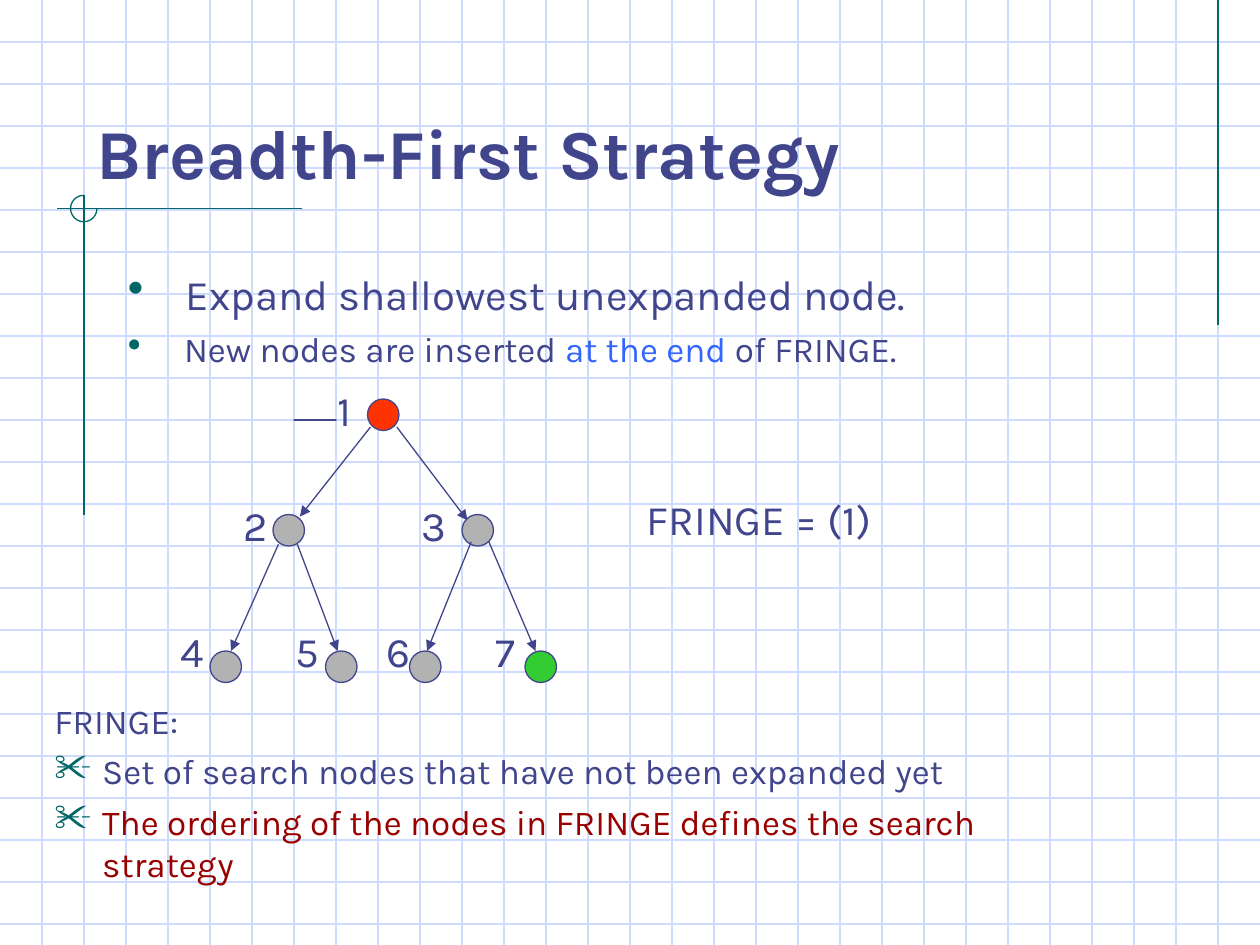
import lxml.etree
import pptx
import pptx.util
import pptx.dml.color
import pptx.enum.shapes
import pptx.enum.text
import pptx.oxml.ns

CELL = pptx.util.Inches(1) / 3  # the slide is 30 columns by 22.5 rows
COLS, ROWS = 30, 22.5
INK, TEAL, GRID, BLUE = "40458C", "006666", "CFDBFD", "3366FF"
GREY, RED, GREEN, MAROON = "B2B2B2", "FF3300", "33CC33", "990000"
rgb = pptx.dml.color.RGBColor.from_string
qn = pptx.oxml.ns.qn
shape_type = pptx.enum.shapes.MSO_SHAPE
auto_size = pptx.enum.text.MSO_AUTO_SIZE

prs = pptx.Presentation()
prs.slide_width, prs.slide_height = int(COLS * CELL), int(ROWS * CELL)
s = prs.slides.add_slide(prs.slide_layouts[5])


def write(tf, *runs, size=24, color=INK, bold=False, before=0, hang=0, bullet=None):
    """Add a paragraph; each run is a text or a (text, colour) pair."""
    p = tf.paragraphs[0] if not tf.paragraphs[0].runs else tf.add_paragraph()
    p.alignment = pptx.enum.text.PP_ALIGN.LEFT
    p.space_before = pptx.util.Pt(before)
    pPr = p._p.get_or_add_pPr()
    if hang:
        indent = int(pptx.util.Inches(hang))
        pPr.set("marL", str(indent))
        pPr.set("indent", str(-indent))
    if bullet:
        clr = lxml.etree.SubElement(pPr, qn("a:buClr"))
        lxml.etree.SubElement(clr, qn("a:srgbClr"), val=TEAL)
        lxml.etree.SubElement(pPr, qn("a:buSzPct"), val="110000")
        lxml.etree.SubElement(pPr, qn("a:buChar"), char=bullet)
    for run in runs:
        text, run_color = (run, color) if isinstance(run, str) else run
        r = p.add_run()
        r.text = text
        r.font.name, r.font.size, r.font.bold = "Karla", pptx.util.Pt(size), bold
        r.font.color.rgb = rgb(run_color)


def line(x1, y1, x2, y2, color=INK, arrow=False):
    """Draw a thin line between two points of the grid."""
    c = s.shapes.add_connector(pptx.enum.shapes.MSO_CONNECTOR.STRAIGHT,
                               *(int(v * CELL) for v in (x1, y1, x2, y2)))
    c.line.width = pptx.util.Pt(0.75)
    c.line.color.rgb = rgb(color)
    if arrow:
        lxml.etree.SubElement(c.line._get_or_add_ln(), qn("a:tailEnd"), type="triangle")
    lxml.etree.SubElement(c._element.spPr, qn("a:effectLst"))


# Graph paper
for row in range(1, 23):
    line(0, row, COLS, row, GRID)
for col in range(1, COLS):
    line(col, 0, col, ROWS, GRID)

# Teal rules and the three-quarter ring at their crossing
line(29, 0, 29, 7.75, TEAL)
line(7.2, 4.97, 1.35, 4.97, TEAL)
line(2, 4.65, 2, 12.27, TEAL)
arc = s.shapes.add_shape(shape_type.ARC, *(int(v * CELL) for v in (1.68, 4.65, 0.63, 0.63)))
arc.adjustments[0], arc.adjustments[1] = 0, 270 * 0.6
arc.fill.background()
arc.line.color.rgb = rgb(TEAL)
arc.line.width = pptx.util.Pt(0.75)
arc.shadow.inherit = False

# Title, brought in front of the grid
title = s.shapes.title
title._element.getparent().append(title._element)
title.left, title.top, title.width, title.height = (int(v * CELL) for v in (2, 1, 25.5, 3.75))
tf = title.text_frame
tf.word_wrap, tf.auto_size = True, auto_size.NONE
tf.vertical_anchor = pptx.enum.text.MSO_ANCHOR.BOTTOM
write(tf, "Breadth-First Strategy", size=40, bold=True)

# Bulleted statements
tf = s.shapes.add_textbox(*(int(v * CELL) for v in (2.75, 6.25, 25.5, 13.5))).text_frame
tf.word_wrap = True
write(tf, " Expand shallowest unexpanded node.", before=6, hang=0.38, bullet="•")
write(tf, " New nodes are inserted ", ("at the end", BLUE), " of FRINGE.",
      size=20, before=5, hang=0.38, bullet="•")

# Tree nodes: column, row, fill
nodes = [(8.75, 9.5, RED), (6.5, 12.25, GREY), (11, 12.25, GREY), (5, 15.5, GREY),
         (7.75, 15.5, GREY), (9.75, 15.5, GREY), (12.5, 15.5, GREEN)]
marks = []
for x, y, fill in nodes:
    sp = s.shapes.add_shape(shape_type.OVAL, *(int(v * CELL) for v in (x, y, 0.75, 0.75)))
    marks.append((sp, fill))

# Notched marker that points at the current node
fb = s.shapes.build_freeform(7, 9.5, scale=CELL)
fb.add_line_segments([(7.55, 9.5), (7.75, 9.75), (7.55, 10), (7, 10), (7.2, 9.75)])
marks.append((fb.convert_to_shape(), BLUE))

for sp, fill in marks:
    sp.fill.solid()
    sp.fill.fore_color.rgb = rgb(fill)
    sp.line.color.rgb = rgb(INK)
    sp.line.width = pptx.util.Pt(0.75)
    sp.shadow.inherit = False

# Tree edges
for edge in [(8.82, 10.17, 7.14, 12.3), (9.45, 10.17, 11.13, 12.39),
             (6.63, 12.96, 5.5, 15.5), (7.08, 12.96, 8.04, 15.5),
             (11.22, 12.9, 10.17, 15.5), (11.64, 12.9, 12.75, 15.5)]:
    line(*edge, arrow=True)

# Node numbers and the state of the fringe
labels = [("1", 7.75, 9), ("2", 5.5, 11.75), ("3", 9.75, 11.75), ("4", 4, 14.75),
          ("5", 6.75, 14.75), ("6", 8.9, 14.75), ("7", 11.5, 14.75),
          ("FRINGE = (1)", 15.1, 11.6)]
for text, x, y in labels:
    width = 1.17 if len(text) == 1 else 6.4
    tf = s.shapes.add_textbox(*(int(v * CELL) for v in (x, y, width, 1.5))).text_frame
    tf.word_wrap, tf.auto_size = False, auto_size.SHAPE_TO_FIT_TEXT
    write(tf, text)

# Definition of the fringe
tf = s.shapes.add_textbox(*(int(v * CELL) for v in (1, 16.5, 25.75, 5.5))).text_frame
tf.word_wrap = True
for text, color, bullet in [
        ("FRINGE:", INK, None),
        ("Set of search nodes that have not been expanded yet", INK, "✂"),
        ("The ordering of the nodes in FRINGE defines the search strategy", MAROON, "✂")]:
    write(tf, text, size=20, color=color, before=5, hang=0.38, bullet=bullet)

prs.save("out.pptx")
